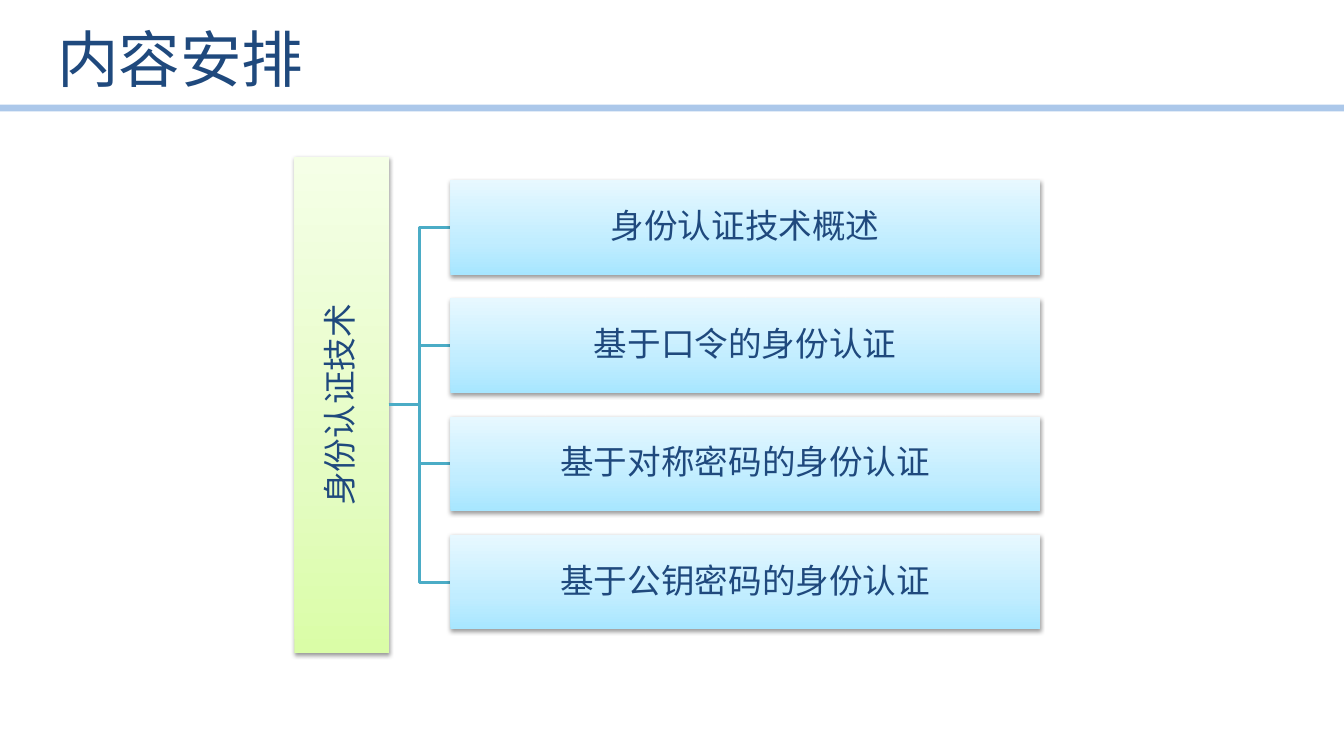
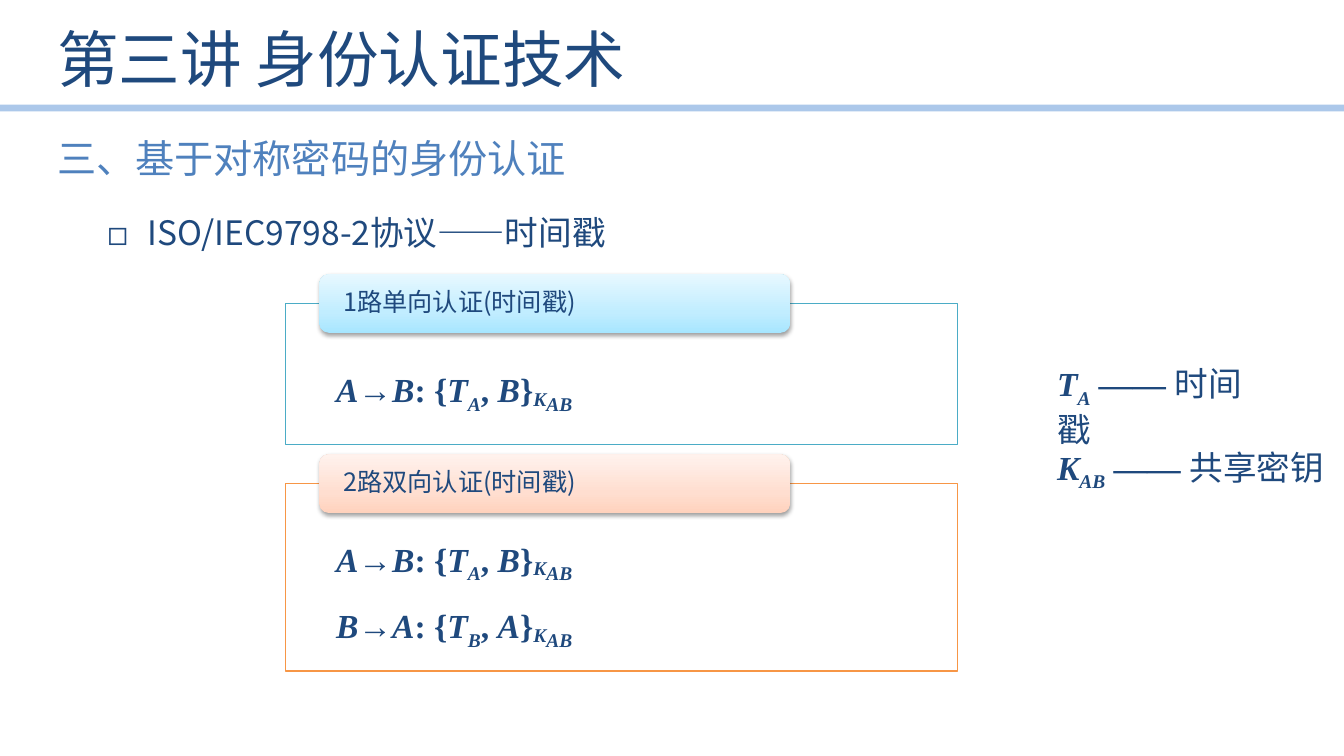
from dataclasses import dataclass

from lxml import etree
from pptx import Presentation
from pptx.dml.color import RGBColor
from pptx.enum.shapes import MSO_CONNECTOR, MSO_SHAPE
from pptx.enum.text import MSO_ANCHOR, PP_ALIGN
from pptx.oxml.ns import qn
from pptx.util import Cm, Pt

LEFT, CENTER = PP_ALIGN.LEFT, PP_ALIGN.CENTER
TOP, MIDDLE = MSO_ANCHOR.TOP, MSO_ANCHOR.MIDDLE
RECT, ROUNDED = MSO_SHAPE.RECTANGLE, MSO_SHAPE.ROUNDED_RECTANGLE
STRAIGHT, ELBOW = MSO_CONNECTOR.STRAIGHT, MSO_CONNECTOR.ELBOW


@dataclass(frozen=True)
class Theme:
    """Colours, gradients, fonts and type sizes of the deck."""
    ink: str = "1F497D"
    heading: str = "4F81BD"
    band: str = "8EB4E3"
    teal: str = "4BACC6"
    orange: str = "F79646"
    white: str = "FFFFFF"
    green_fade: tuple = ((0, "DAFDA7"), (35, "E4FCC2"), (100, "F5FFE7"))
    blue_fade: tuple = ((0, "A7E6FF"), (35, "C1EDFF"), (100, "E7F8FF"))
    peach_fade: tuple = ((0, "FFD2BD"), (35, "FFDED0"), (100, "FFF2ED"))
    sans: str = "Noto Sans CJK SC"
    serif: str = "Times New Roman"
    title_size: int = 44
    heading_size: int = 28
    body_size: int = 24
    tab_size: int = 18


THEME = Theme()
SLIDE_WIDTH, SLIDE_HEIGHT = 33.87, 19.05
MARGIN = 1.19
PLAIN = {"name": THEME.sans}
SYMBOL = {"name": THEME.serif, "bold": True, "italic": True}
OPERATOR = {**SYMBOL, "italic": False}
KEY = {**SYMBOL, "baseline": -10}
SUBSCRIPT = {**SYMBOL, "baseline": -25}


def assign(target, values):
    """Set every attribute named in values."""
    for name, value in values.items():
        setattr(target, name, value)


def add_child(parent, tag, **attributes):
    """Append a drawing element with its attributes."""
    child = etree.SubElement(parent, qn(tag))
    for name, value in attributes.items():
        child.set(name, str(value))
    return child


def set_opacity(color_owner, percent):
    """Make the first colour below an element translucent."""
    color = next(color_owner.iter(qn("a:srgbClr")))
    add_child(color, "a:alpha", val=percent * 1000)


class Deck:
    """Holds the theme, the presentation and the current slide."""

    def __init__(self, theme):
        """Open an empty widescreen presentation."""
        self.theme = theme
        self.presentation = Presentation()
        assign(self.presentation, {"slide_width": Cm(SLIDE_WIDTH),
                                   "slide_height": Cm(SLIDE_HEIGHT)})

    def start_slide(self, title):
        """Add a slide with its title and the band below it."""
        layout = self.presentation.slide_layouts[5]
        self.shapes = self.presentation.slides.add_slide(layout).shapes
        band = self.connector(STRAIGHT, (0, 2.72, SLIDE_WIDTH, 2.72), self.theme.band, 4.75)
        set_opacity(band.line._ln, 73)
        heading = self.shapes.title
        assign(heading, {"left": Cm(MARGIN), "top": Cm(0.23),
                         "width": Cm(28), "height": Cm(2.46)})
        self.fill_text(heading, [[(title, PLAIN)]], self.theme.title_size, anchor=MIDDLE)

    def fill_text(self, holder, paragraphs, size, color=None, align=LEFT, anchor=TOP,
                  wrap=True, pads=(0.25, 0.13), spacing=None, gap=0):
        """Fill a shape with paragraphs made of (text, font values) runs."""
        frame = holder.text_frame
        side, edge = map(Cm, pads)
        assign(frame, {"word_wrap": wrap, "vertical_anchor": anchor,
                       "margin_left": side, "margin_right": side,
                       "margin_top": edge, "margin_bottom": edge})
        for index, parts in enumerate(paragraphs):
            paragraph = frame.add_paragraph() if index else frame.paragraphs[0]
            assign(paragraph, {"alignment": align, "line_spacing": spacing,
                               "space_before": Pt(gap if index else 0)})
            for text, values in parts:
                self.add_run(paragraph, text, size, color or self.theme.ink, values)

    def add_run(self, paragraph, text, size, color, values):
        """Add one formatted run, with the same font for Asian text."""
        run = paragraph.add_run()
        run.text = text
        fonts = {"size": Pt(size), "bold": False, "italic": False, **values}
        baseline = fonts.pop("baseline", 0)
        assign(run.font, fonts)
        run.font.color.rgb = RGBColor.from_string(color)
        properties = run._r.get_or_add_rPr()
        add_child(properties, "a:ea", typeface=fonts["name"])
        if baseline:
            properties.set("baseline", str(baseline * 1000))

    def text(self, box, paragraphs, size, **layout):
        """Add a text box."""
        holder = self.shapes.add_textbox(*map(Cm, box))
        self.fill_text(holder, paragraphs, size, **layout)
        return holder

    def bullet(self, box, text):
        """Add a text box with one square bullet."""
        holder = self.text(box, [[(text, PLAIN)]], self.theme.body_size)
        properties = holder.text_frame.paragraphs[0]._p.get_or_add_pPr()
        properties.set("marL", str(Cm(2.27)))
        properties.set("indent", str(Cm(-1)))
        add_child(properties, "a:buFont", typeface=self.theme.sans)
        add_child(properties, "a:buChar", char="◻")

    def card(self, kind, box, fade, label, size, **layout):
        """Add a labelled shape with a vertical fade and a soft shadow."""
        card = self.shapes.add_shape(kind, *map(Cm, box))
        card.shadow.inherit = False
        card.line.fill.background()
        card.fill.gradient()
        card.fill.gradient_angle = 90
        properties = card._element.spPr
        stops = next(properties.iter(qn("a:gsLst")))
        for stop in list(stops):
            stops.remove(stop)
        for position, color in fade:
            stop = add_child(stops, "a:gs", pos=position * 1000)
            add_child(stop, "a:srgbClr", val=color)
        shadow = add_child(properties.find(qn("a:effectLst")), "a:outerShdw",
                           blurRad=Pt(3.1), dist=Pt(1.6), dir=5400000, rotWithShape=0)
        add_child(shadow, "a:srgbClr", val="000000")
        set_opacity(shadow, 38)
        self.fill_text(card, [[(label, PLAIN)]], size, anchor=MIDDLE, spacing=0.9, **layout)
        return card

    def frame(self, box, color):
        """Add a thin outlined panel."""
        panel = self.shapes.add_shape(RECT, *map(Cm, box))
        panel.shadow.inherit = False
        panel.fill.solid()
        panel.fill.fore_color.rgb = RGBColor.from_string(self.theme.white)
        set_opacity(panel._element.spPr, 90)
        panel.line.color.rgb = RGBColor.from_string(color)
        panel.line.width = Pt(0.75)

    def connector(self, kind, ends, color, width):
        """Add a line without a shadow."""
        line = self.shapes.add_connector(kind, *map(Cm, ends))
        line.line.color.rgb = RGBColor.from_string(color)
        line.line.width = Pt(width)
        add_child(line._element.spPr, "a:effectLst")
        return line

    def panel(self, top, height, color, fade, label, messages, messages_top):
        """Add a protocol panel with its tab and messages."""
        left = 7.19
        self.frame((left, top, 16.94, height), color)
        self.card(ROUNDED, (left + 0.86, top - 0.74, 11.86, 1.48), fade, label,
                  self.theme.tab_size, pads=(0.53, 0))
        self.text((left + 1.03, messages_top, 10.6, 1.3 * len(messages)), messages,
                  self.theme.body_size, gap=15)


def message(sender, receiver):
    """Return the runs of one timestamped message."""
    return [(sender, SYMBOL), ("→", OPERATOR), (receiver, SYMBOL), (": {", OPERATOR),
            ("T", SYMBOL), (sender, SUBSCRIPT), (", ", OPERATOR), (receiver, SYMBOL),
            ("}", OPERATOR), ("K", KEY), ("AB", SUBSCRIPT)]


def build_contents(deck):
    """Build the outline of the lecture."""
    deck.start_slide("内容安排")
    topics = ["身份认证技术概述", "基于口令的身份认证",
              "基于对称密码的身份认证", "基于公钥密码的身份认证"]
    middle, thickness, pitch = 10.2, 2.38, 2.98
    root_left, root_height, topic_left = 7.42, 12.5, 11.35
    layout = {"align": CENTER, "pads": (0.05, 0.05)}
    root = deck.card(RECT, (root_left, middle - root_height / 2, thickness, root_height),
                     THEME.green_fade, "身份认证技术", THEME.body_size, **layout)
    root.text_frame._txBody.bodyPr.set("vert", "vert270")
    for index, topic in enumerate(topics):
        center = middle + (index - (len(topics) - 1) / 2) * pitch
        branch = deck.connector(ELBOW, (root_left + thickness, middle, topic_left, center),
                                THEME.teal, 2)
        card = deck.card(RECT, (topic_left, center - thickness / 2, 14.86, thickness),
                         THEME.blue_fade, topic, THEME.body_size, **layout)
        branch.begin_connect(root, 3)
        branch.end_connect(card, 1)


def build_timestamps(deck):
    """Build the slide on timestamp authentication."""
    deck.start_slide("第三讲 身份认证技术")
    deck.bullet((MARGIN, 5.2, 31.2, 1.5), "ISO/IEC9798-2协议——时间戳")
    deck.text((MARGIN, 3.25, 13.5, 1.45), [[("三、基于对称密码的身份认证", PLAIN)]],
              THEME.heading_size, color=THEME.heading, wrap=False)
    deck.panel(7.65, 3.56, THEME.teal, THEME.blue_fade, "1路单向认证(时间戳)",
               [message("A", "B")], 9.17)
    deck.panel(12.19, 4.72, THEME.orange, THEME.peach_fade, "2路双向认证(时间戳)",
               [message("A", "B"), message("B", "A")], 13.44)
    legend = [("T", "A", "时间戳", 9.02, 5.97), ("K", "AB", "共享密钥", 11.13, 7.32)]
    for symbol, index, meaning, top, width in legend:
        deck.text((26.39, top, width, 1.27),
                  [[(symbol, SYMBOL), (index, SUBSCRIPT), (" —— ", SYMBOL), (meaning, PLAIN)]],
                  THEME.body_size)


def main():
    """Build and save the deck."""
    deck = Deck(THEME)
    build_contents(deck)
    build_timestamps(deck)
    deck.presentation.save("out.pptx")


if __name__ == "__main__":
    main()
